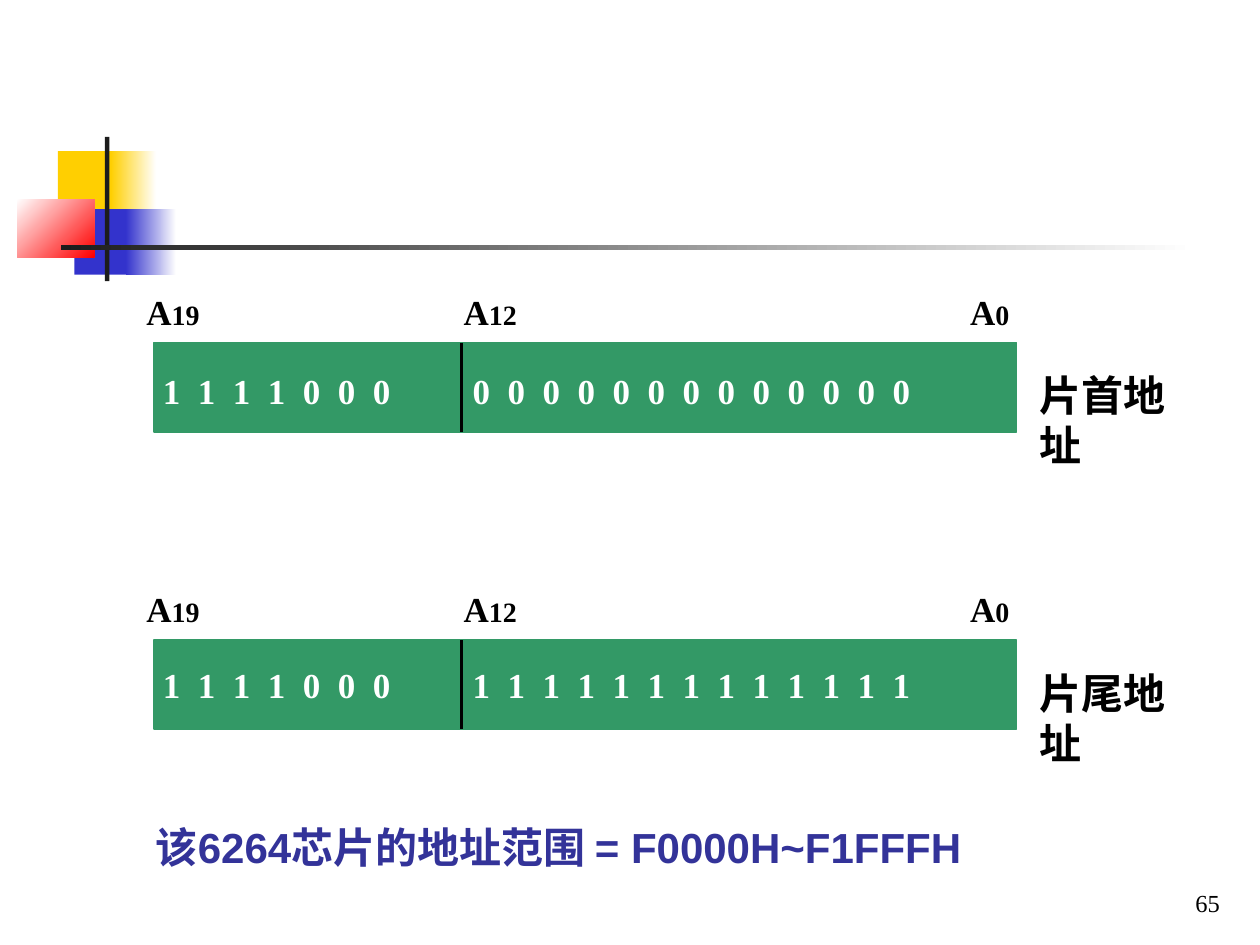
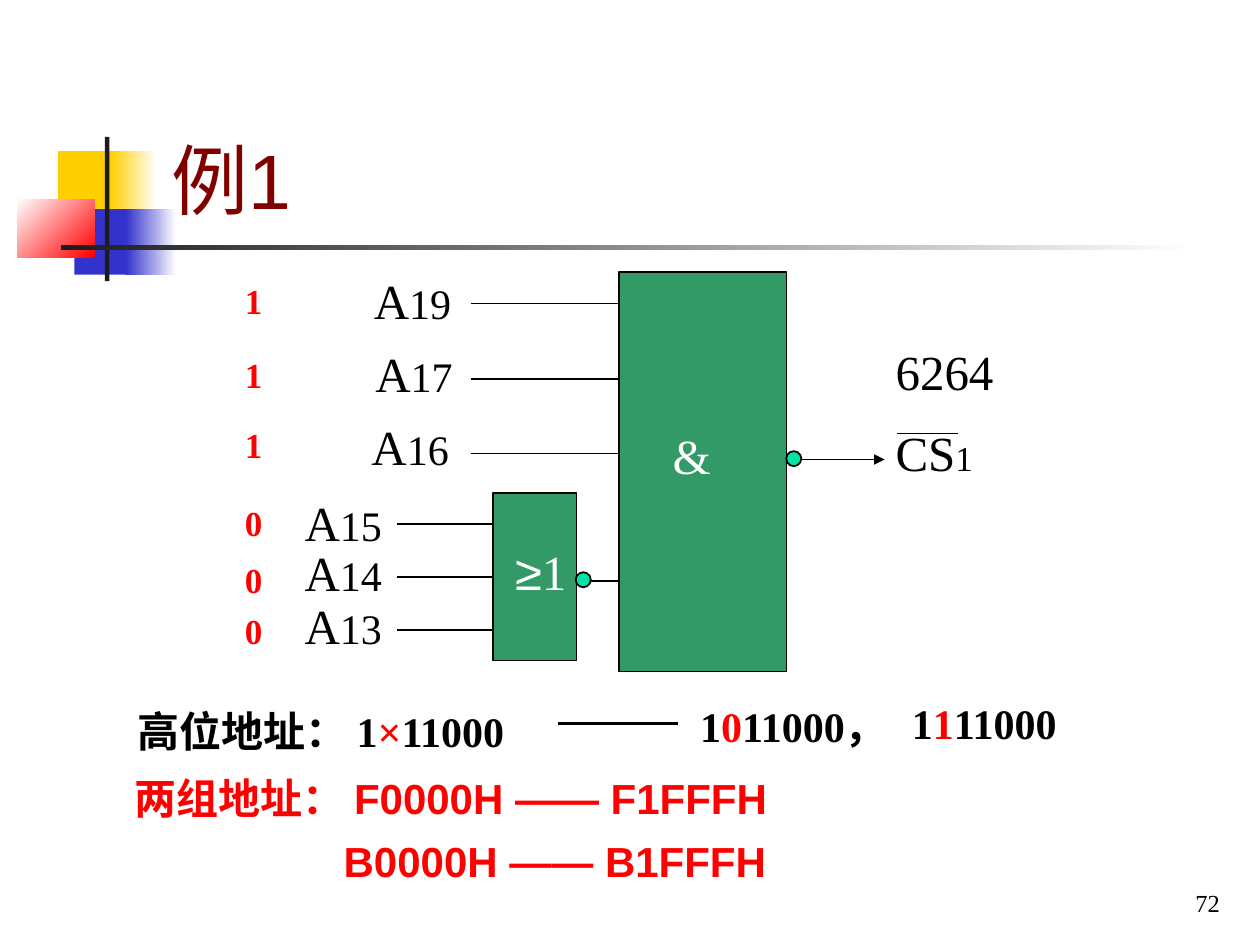
from lxml.etree import SubElement
from pptx import Presentation
from pptx.dml.color import RGBColor as Rgb
from pptx.enum.shapes import MSO_CONNECTOR as Link, MSO_SHAPE as Form
from pptx.enum.text import MSO_ANCHOR as Anchor, PP_ALIGN as Align
from pptx.oxml.ns import qn
from pptx.util import Pt

SERIF, SANS = "Times New Roman", "Arial"
BLACK, WHITE, RED = "000000", "FFFFFF", "FF0000"
GREEN, MINT, NAVY, MAROON = "339966", "00E4A8", "333399", "800000"
GOLD, BLUE, INK = "FFCF01", "3333CC", "1C1C1C"


def color(hex):
    return Rgb.from_string(hex)


def shape(slide, box, fill, line=None, form=Form.RECTANGLE):
    item = slide.shapes.add_shape(form, *map(Pt, box))
    item.shadow.inherit = False
    item.fill.solid()
    item.fill.fore_color.rgb = color(fill)
    if line:
        item.line.color.rgb = color(line)
        item.line.width = Pt(1)
    else:
        item.line.fill.background()
    return item


def fade(slide, box, start, end, angle=0):
    """Draw a rectangle whose fill runs from start to end."""
    fill = shape(slide, box, start).fill
    fill.gradient()
    fill.gradient_angle = angle
    for stop, tone in zip(fill.gradient_stops, (start, end)):
        stop.color.rgb = color(tone)


def wire(slide, x1, y1, x2, y2, width=1, arrow=False):
    item = slide.shapes.add_connector(Link.STRAIGHT, *map(Pt, (x1, y1, x2, y2)))
    item.line.color.rgb = color(BLACK)
    item.line.width = Pt(width)
    props = item.line._get_or_add_ln()
    if arrow:
        SubElement(props, qn("a:tailEnd"), type="triangle")
    SubElement(item._element.spPr, qn("a:effectLst"))


def write(para, parts, size, tone=BLACK, font=SERIF, bold=False):
    """Fill a paragraph; a part is text, or text with its own size, tone, font."""
    for part in parts:
        words, own = (part, {}) if isinstance(part, str) else part
        run = para.add_run()
        run.text = words
        run.font.size = Pt(own.get("size", size))
        run.font.color.rgb = color(own.get("tone", tone))
        run.font.name = own.get("font", font)
        run.font.bold = bold


def label(slide, box, parts, size, anchor=Anchor.TOP, **style):
    """Add a wrapped text box and return its first paragraph."""
    frame = slide.shapes.add_textbox(*map(Pt, box)).text_frame
    frame.word_wrap = True
    frame.vertical_anchor = anchor
    para = frame.paragraphs[0]
    write(para, parts, size, **style)
    return para


def pin(slide, x, y, num, size, small, width=72, bold=False):
    """Name an address line: a large A and a smaller number."""
    box = (x, y, width, size * 1.45)
    label(slide, box, ["A", (num, {"size": small})], size, bold=bold)


def bits(slide, x, y, width, digits):
    para = label(slide, (x, y, width, 32), [" ".join(digits)], 20, tone=WHITE, bold=True)
    para.runs[0].font._element.set("spc", "250")


def base(deck, page):
    """Add a slide with the shared ornament and page number."""
    slide = deck.slides.add_slide(deck.slide_layouts[6])
    shape(slide, (33.1, 86.4, 34.6, 37.4), GOLD)
    fade(slide, (63.4, 86.4, 25.9, 37.4), GOLD, WHITE)
    shape(slide, (42.5, 119.5, 33.1, 37.4), BLUE)
    fade(slide, (72, 119.5, 28.8, 37.4), BLUE, WHITE)
    fade(slide, (10, 113.8, 44, 33.1), WHITE, RED, 315)
    shape(slide, (60, 78.2, 2.5, 82.5), INK)
    fade(slide, (34.8, 140.1, 648, 2.6), INK, WHITE)
    para = label(slide, (554.4, 491.8, 149.8, 36), [str(page)], 14, Anchor.BOTTOM)
    para.alignment = Align.RIGHT
    return slide


def word(slide, top, row, low, name):
    """Draw a 20-bit address split at A12, with its bits at height row."""
    shape(slide, (88, top, 493, 51), GREEN, GREEN)
    wire(slide, 263.5, top, 263.5, top + 51, 1.75)
    for num, x in (("19", 76.5), ("12", 257.8), ("0", 547.2)):
        pin(slide, x, top - 33.5, num, 20, 16, 57, True)
    bits(slide, 86, row, 181, "1111000")
    bits(slide, 263, row, 323, low)
    label(slide, (587, top + 11.8, 90.7, 65), [name], 24, bold=True)


def span(deck):
    """Slide with the first and last address of the chip."""
    slide = base(deck, 65)
    word(slide, 195.8, 207.4, "0" * 13, "片首地址")
    word(slide, 365.8, 375.8, "1" * 13, "片尾地址")
    para = label(slide, (82, 463, 556, 51), ["该6264芯片的地址范围 = F0000H~F1FFFH"],
                 24, tone=NAVY, font=SANS, bold=True)
    para.line_spacing = 1.1


def gates(slide):
    shape(slide, (353.5, 155.5, 96, 228.2), GREEN, BLACK)
    shape(slide, (281.5, 281.5, 48, 96), GREEN, BLACK)
    # number, label x and y, bit, bit y, wire y
    pins = [("19", 206.6, 151.2, "1", 156.2, 173.5),
            ("17", 207.4, 193, "1", 198.7, 216.7),
            ("16", 205.2, 234.7, "1", 238.3, 259.2),
            ("15", 167, 278, "0", 283, 299.5),
            ("14", 167, 306.7, "0", 315.4, 329.8),
            ("13", 167, 337, "0", 344.9, 360)]
    for num, x, y, bit, row, mid in pins:
        start, end = (269, 353.5) if bit == "1" else (227, 281.5)
        wire(slide, start, mid, end, mid)
        pin(slide, x, y, num, 28, 24)
        label(slide, (132.8, row, 28, 32), [bit], 20, tone=RED, bold=True)
    wire(slide, 332.6, 332, 354, 332)
    label(slide, (377.3, 239.8, 54, 41), ["&"], 28, tone=WHITE)
    label(slide, (287.3, 306, 54, 41), [("≥", {"font": SANS}), "1"], 28, tone=WHITE)
    for x, y in ((329, 327), (449.3, 257.8)):
        shape(slide, (x, y, 8.6, 8.6), MINT, BLACK, Form.OVAL)
    wire(slide, 457.5, 262.6, 505.5, 262.6, arrow=True)


def decode(deck):
    """Slide with the decoder circuit and its two address ranges."""
    slide = base(deck, 72)
    label(slide, (90.7, 16.6, 613.4, 115.2), ["例1"], 44, Anchor.BOTTOM,
          tone=MAROON, font=SANS)
    style = dict(size=24, tone=RED, font=SANS, bold=True)
    first = label(slide, (69.8, 437.8, 521, 73.4),
                  ["两组地址： F0000H —— F1FFFH"], **style)
    first.space_after = Pt(1.5)
    frame = slide.shapes[-1].text_frame
    para = frame.add_paragraph()
    para._p.get_or_add_pPr().set("marL", str(Pt(119.5)))
    para.space_before = Pt(6)
    write(para, ["B0000H —— B1FFFH"], **style)

    gates(slide)
    label(slide, (504.7, 191.5, 72, 87), ["6264"], 28)
    para = slide.shapes[-1].text_frame.add_paragraph()
    para.space_before = Pt(12.5)
    write(para, ["CS", ("1", {"size": 20})], 28)
    wire(slide, 512.6, 247.7, 547.2, 247.7)

    red = {"tone": RED}
    para = label(slide, (71.3, 398, 266.4, 45.4),
                 ["高位地址： 1", ("×", red), "11000"], 24, bold=True)
    para.line_spacing = 1.05
    label(slide, (393, 396.7, 147.6, 36), ["1", ("0", red), "11000，"], 24, bold=True)
    wire(slide, 319, 413.3, 387.4, 413.3, 1.75)
    label(slide, (514, 395.3, 101.5, 36), ["1", ("1", red), "11000"], 24, bold=True)


def main():
    deck = Presentation()
    deck.slide_width, deck.slide_height = Pt(720), Pt(540)
    span(deck)
    decode(deck)
    deck.save("out.pptx")


if __name__ == "__main__":
    main()
